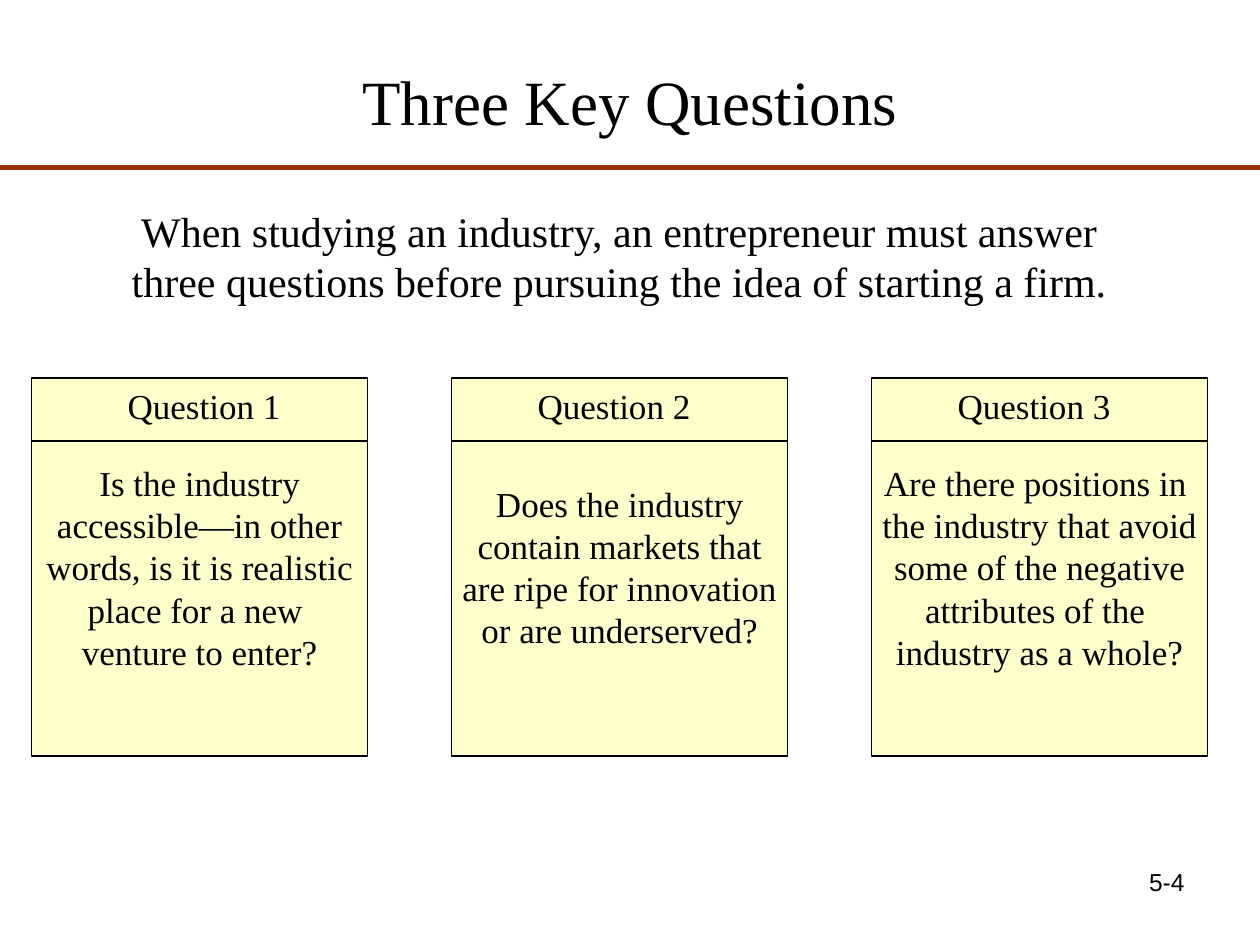
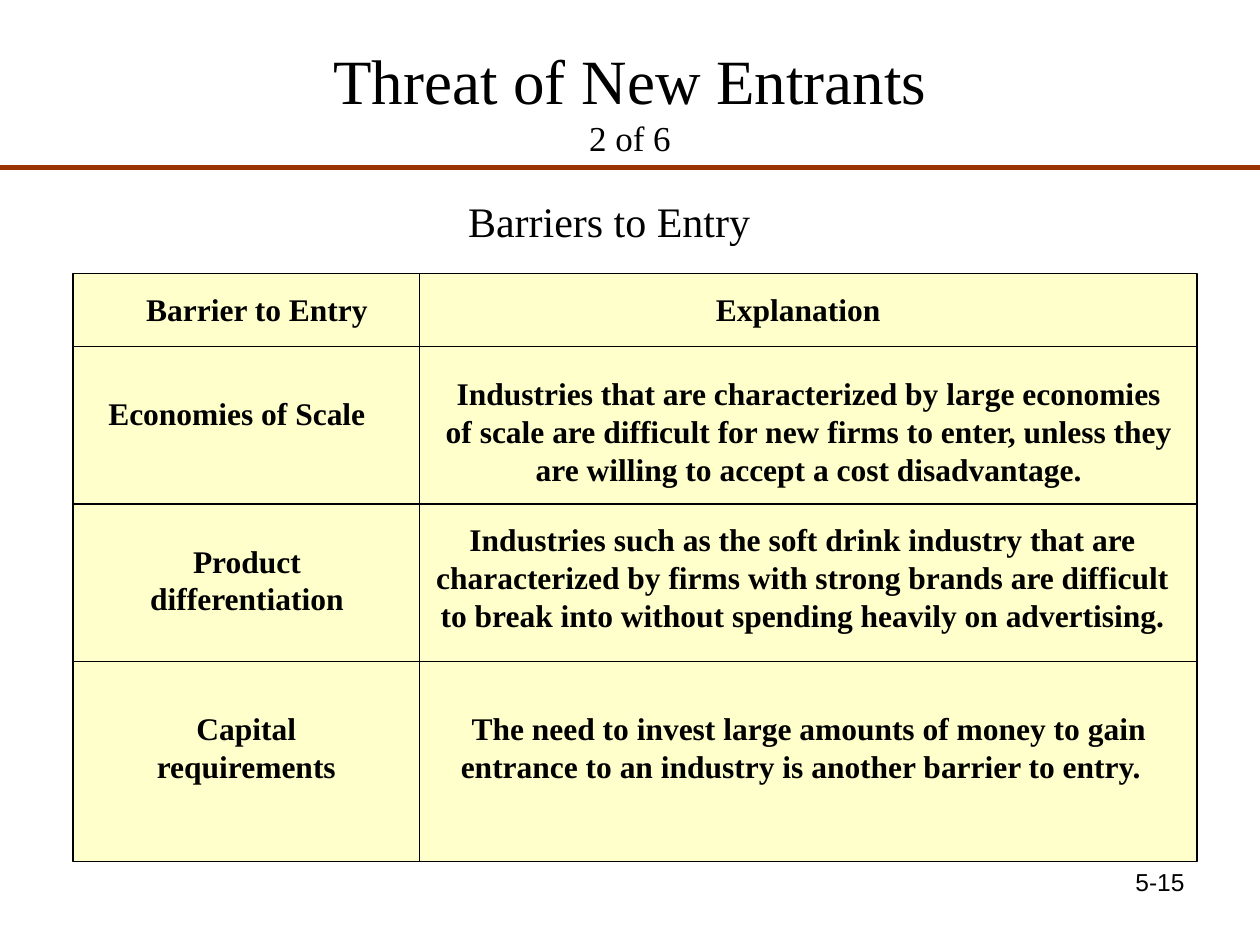
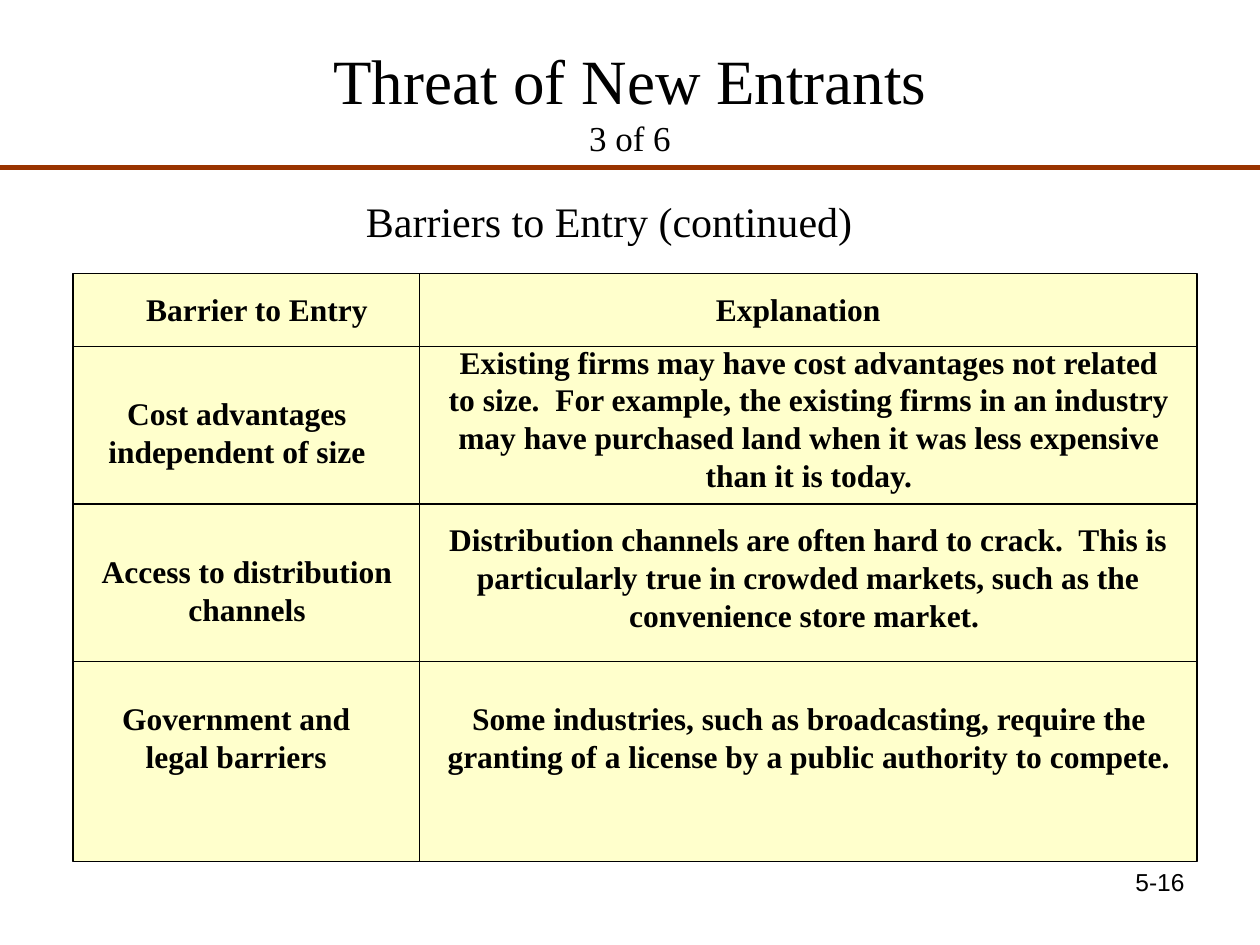
from dataclasses import dataclass

import pptx
import pptx.dml.color
import pptx.enum.shapes
import pptx.enum.text
import pptx.oxml
import pptx.presentation
import pptx.shapes.autoshape
import pptx.slide
import pptx.text.text
import pptx.util
from pptx.util import Inches

COLORS = {"text": "000000", "rule": "993300", "panel": "FFFFCC", "outline": "000000"}
SERIF = "Times New Roman"
SANS = "Arial"
THIN = 0.74
ALIGN = pptx.enum.text.PP_ALIGN
ANCHOR = pptx.enum.text.MSO_ANCHOR
FIT = pptx.enum.text.MSO_AUTO_SIZE


@dataclass
class Style:
    size: float
    space_before: float = 0
    bold: bool = False
    font: str = SERIF
    align: ALIGN = ALIGN.CENTER


TITLE = Style(36)
SUBTITLE_SIZE = 20
LEAD = Style(24, space_before=15)
QUESTION_LABEL = Style(20, space_before=12.5)
QUESTION_BODY = Style(20)
CELL = Style(18, space_before=11.2, bold=True)
PAGE_NUMBER = Style(14, font=SANS, align=ALIGN.RIGHT)


@dataclass
class Box:
    left: float
    top: float
    width: float
    height: float


@dataclass
class Question:
    label: str
    lines: list[str]
    label_shift: float = 0


@dataclass
class Cell:
    text: str
    left: float
    top: float
    width: float
    line_count: int = 1


@dataclass
class BarrierSlide:
    subtitle: str
    heading: str
    page: str
    cells: list[Cell]


def color(name: str) -> pptx.dml.color.RGBColor:
    return pptx.dml.color.RGBColor.from_string(COLORS[name])


def style_paragraph(paragraph: pptx.text.text._Paragraph, style: Style) -> None:
    paragraph.alignment = style.align
    paragraph.space_before = pptx.util.Pt(style.space_before)
    paragraph.font.name = style.font
    paragraph.font.size = pptx.util.Pt(style.size)
    paragraph.font.bold = style.bold
    paragraph.font.color.rgb = color("text")


def add_text(slide: pptx.slide.Slide, text: str, box: Box, style: Style,
             grow: bool = True) -> pptx.shapes.autoshape.Shape:
    shape = slide.shapes.add_textbox(
        Inches(box.left), Inches(box.top), Inches(box.width), Inches(box.height))
    frame = shape.text_frame
    frame.word_wrap = True
    frame.auto_size = FIT.SHAPE_TO_FIT_TEXT if grow else FIT.NONE
    frame.text = text
    style_paragraph(frame.paragraphs[0], style)
    return shape


def add_line(slide: pptx.slide.Slide, start: tuple[float, float], end: tuple[float, float],
             color_name: str = "outline", width: float = THIN) -> None:
    line = slide.shapes.add_connector(
        pptx.enum.shapes.MSO_CONNECTOR.STRAIGHT,
        Inches(start[0]), Inches(start[1]), Inches(end[0]), Inches(end[1]))
    line.line.color.rgb = color(color_name)
    line.line.width = pptx.util.Pt(width)
    properties = line._element.spPr
    properties.append(pptx.oxml.parse_xml(
        '<a:effectLst xmlns:a="http://schemas.openxmlformats.org/drawingml/2006/main"/>'))


def add_panel(slide: pptx.slide.Slide, box: Box) -> pptx.shapes.autoshape.Shape:
    panel = slide.shapes.add_shape(
        pptx.enum.shapes.MSO_SHAPE.RECTANGLE,
        Inches(box.left), Inches(box.top), Inches(box.width), Inches(box.height))
    panel.shadow.inherit = False
    panel.fill.solid()
    panel.fill.fore_color.rgb = color("panel")
    panel.line.color.rgb = color("outline")
    panel.line.width = pptx.util.Pt(THIN)
    return panel


def add_base(presentation: pptx.presentation.Presentation, title: str, page: str,
             subtitle: str = "") -> pptx.slide.Slide:
    """Add a slide with its title, the rule below it and the page number."""
    slide = presentation.slides.add_slide(presentation.slide_layouts[6])
    shape = add_text(slide, title, Box(0.5, 0.17, 9, 1.25), TITLE, grow=False)
    shape.text_frame.vertical_anchor = ANCHOR.MIDDLE
    if subtitle:
        paragraph = shape.text_frame.paragraphs[0]
        paragraph.add_line_break()
        run = paragraph.add_run()
        run.text = subtitle
        run.font.size = pptx.util.Pt(SUBTITLE_SIZE)
    add_line(slide, (0, 1.33), (10, 1.33), "rule", 3)
    add_text(slide, page, Box(7.17, 6.83, 2.33, 0.52), PAGE_NUMBER, grow=False)
    return slide


# Question cards
CARD = Box(0.25, 3, 2.67, 3)
CARD_PITCH = 10 / 3
CARD_HEADER = 0.5


def add_question(slide: pptx.slide.Slide, question: Question, index: int) -> None:
    left = CARD.left + index * CARD_PITCH
    card = add_panel(slide, Box(left, CARD.top, CARD.width, CARD.height))
    frame = card.text_frame
    frame.word_wrap = False
    frame.vertical_anchor = ANCHOR.MIDDLE
    frame.text = "\n".join(question.lines)
    for paragraph in frame.paragraphs:
        style_paragraph(paragraph, QUESTION_BODY)
    header_bottom = CARD.top + CARD_HEADER
    add_line(slide, (left, header_bottom), (left + CARD.width, header_bottom))
    add_text(slide, question.label,
             Box(left + question.label_shift, CARD.top, 2.58, 0.44), QUESTION_LABEL)


# Barrier grid: a panel ruled into four rows and two columns
GRID = Box(0.58, 2.17, 8.92, 4.67)
ROW_LINES = [2.75, 4, 5.25]
COLUMN_LINE = 3.33
HEADER_CELLS = [
    Cell("Barrier to Entry", 0.58, 2.25, 2.92),
    Cell("Explanation", 3.67, 2.25, 5.33),
]


def add_barrier_slide(presentation: pptx.presentation.Presentation,
                      content: BarrierSlide) -> None:
    slide = add_base(presentation, "Threat of New Entrants", content.page, content.subtitle)
    add_text(slide, content.heading, Box(2.17, 1.5, 5.33, 0.5), LEAD)
    add_panel(slide, GRID)
    for top in ROW_LINES:
        add_line(slide, (GRID.left, top), (GRID.left + GRID.width, top))
    add_line(slide, (COLUMN_LINE, GRID.top), (COLUMN_LINE, GRID.top + GRID.height))
    for cell in HEADER_CELLS + content.cells:
        height = 0.1 + 0.3 * cell.line_count
        add_text(slide, cell.text, Box(cell.left, cell.top, cell.width, height), CELL)


QUESTIONS = [
    Question("Question 1", ["Is the industry", "accessible—in other", "words, is it is realistic",
                            "place for a new ", "venture to enter?"], label_shift=0.08),
    Question("Question 2", ["Does the industry", "contain markets that",
                            "are ripe for innovation", "or are underserved?"]),
    Question("Question 3", ["Are there positions in ", "the industry that avoid",
                            "some of the negative", "attributes of the ",
                            "industry as a whole?"]),
]

BARRIER_SLIDES = [
    BarrierSlide("2 of 6", "Barriers to Entry", "5-15", [
        Cell("Economies of Scale", 0.42, 3.08, 2.92),
        Cell("Industries that are characterized by large economies of scale are difficult "
             "for new firms to enter, unless they are willing to accept a cost disadvantage.",
             3.42, 2.92, 6, 3),
        Cell("Product differentiation", 0.67, 4.25, 2.58, 2),
        Cell("Industries such as the soft drink industry that are characterized by firms "
             "with strong brands are difficult to break into without spending heavily on "
             "advertising.", 3.33, 4.08, 6.08, 3),
        Cell("Capital requirements", 0.83, 5.58, 2.25, 2),
        Cell("The need to invest large amounts of money to gain entrance to an industry is "
             "another barrier to entry.  ", 3.42, 5.58, 6, 2),
    ]),
    BarrierSlide("3 of 6", "Barriers to Entry (continued)", "5-16", [
        Cell("Cost advantages independent of size", 0.42, 3.08, 2.92, 2),
        Cell("Existing firms may have cost advantages not related to size.  For example, the "
             "existing firms in an industry may have purchased land when it was less "
             "expensive than it is today.", 3.42, 2.67, 6, 4),
        Cell("Access to distribution channels", 0.67, 4.33, 2.58, 2),
        Cell("Distribution channels are often hard to crack.  This is particularly true in "
             "crowded markets, such as the convenience store market. ", 3.33, 4.08, 6.17, 3),
        Cell("Government and legal barriers", 0.75, 5.5, 2.25, 2),
        Cell("Some industries, such as broadcasting, require the granting of a license by a "
             "public authority to compete.", 3.42, 5.5, 6, 2),
    ]),
]


def main() -> None:
    presentation = pptx.Presentation()
    presentation.slide_width = Inches(10)
    presentation.slide_height = Inches(7.5)

    # Three key questions
    slide = add_base(presentation, "Three Key Questions", "5-4")
    add_text(slide, "When studying an industry, an entrepreneur must answer three questions "
             "before pursuing the idea of starting a firm.", Box(0.75, 1.58, 8.33, 0.9), LEAD)
    for index, question in enumerate(QUESTIONS):
        add_question(slide, question, index)

    # Barriers to entry
    for content in BARRIER_SLIDES:
        add_barrier_slide(presentation, content)

    presentation.save("out.pptx")


main()
